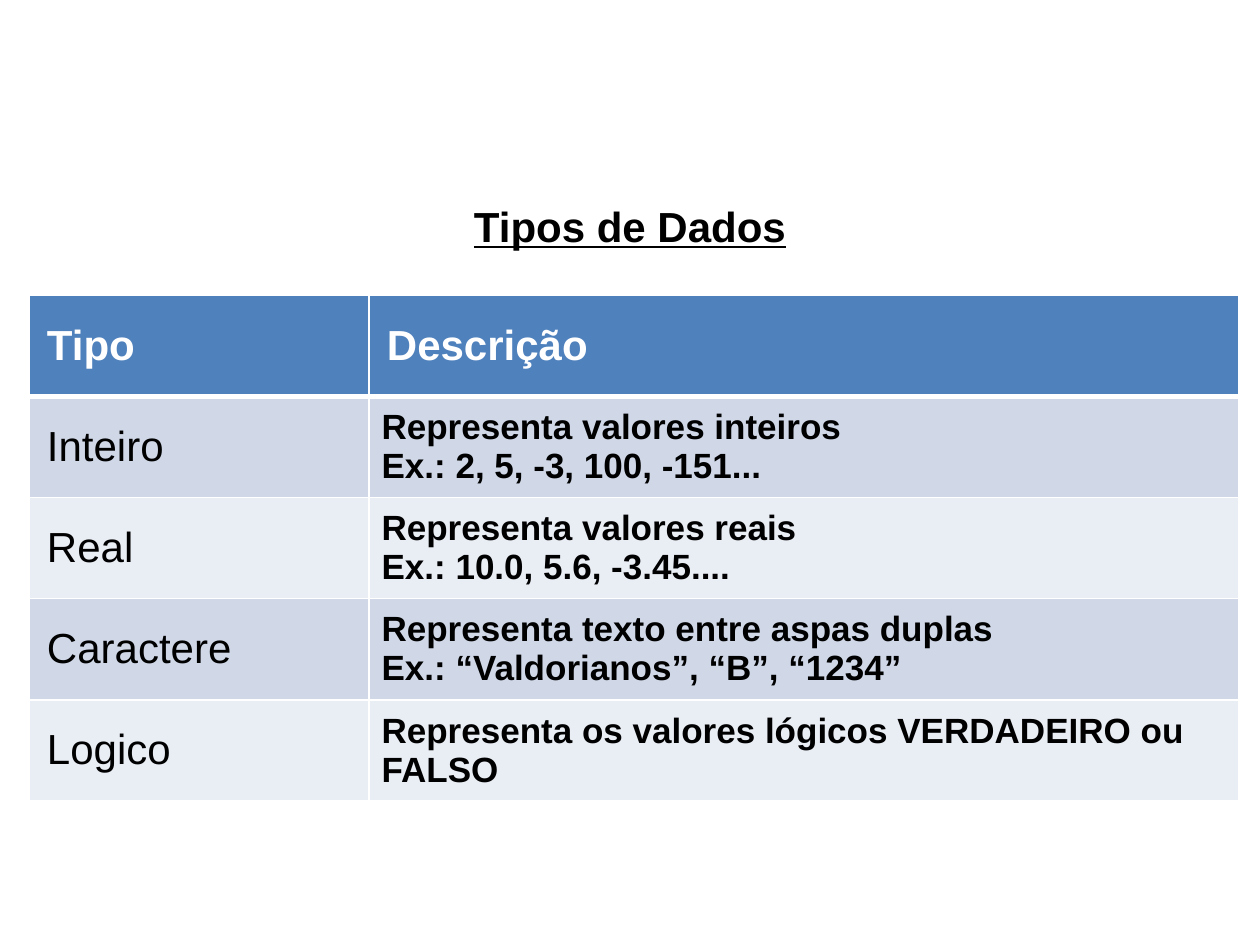
from lxml import etree
from pptx import Presentation
from pptx import util as u
from pptx.dml.color import RGBColor
from pptx.enum import text
from pptx.oxml.ns import qn

SCALE = 914400 // 126
WHITE, BLACK, HEADER = "FFFFFF", "000000", "4F81BD"
BANDS = ("D0D8E8", "E9EDF4")
ROWS = [
    ("Tipo", "Descrição"),
    ("Inteiro", "Representa valores inteiros\nEx.: 2, 5, -3, 100, -151..."),
    ("Real", "Representa valores reais\nEx.: 10.0, 5.6, -3.45...."),
    ("Caractere", "Representa texto entre aspas duplas\nEx.: “Valdorianos”, “B”, “1234”"),
    ("Logico", "Representa os valores lógicos VERDADEIRO ou FALSO"),
]


def px(length):
    """Turn picture pixels into EMU."""
    return u.Emu(round(length * SCALE))


def color(value):
    """Turn a hex string into a colour."""
    return RGBColor.from_string(value)


def write(frame, content, size=24, fill=BLACK, bold=False, underline=False, align=None):
    """Write each line of the content as a formatted paragraph."""
    frame.text = content
    frame.word_wrap = True
    for paragraph in frame.paragraphs:
        paragraph.alignment = align
        for run in paragraph.runs:
            font = run.font
            font.name, font.size = "Arial", u.Pt(size)
            font.bold, font.underline = bold, underline
            font.color.rgb = color(fill)


def set_borders(cell, bottom):
    """Draw white borders with the given bottom width in points."""
    properties = cell._tc.get_or_add_tcPr()
    sides = {"a:lnL": 1, "a:lnR": 1, "a:lnT": 1, "a:lnB": bottom}
    for index, (side, width) in enumerate(sides.items()):
        line = etree.Element(qn(side), w=str(u.Pt(width)))
        fill = etree.SubElement(line, qn("a:solidFill"))
        etree.SubElement(fill, qn("a:srgbClr"), val=WHITE)
        properties.insert(index, line)


def add_title(slide, left, top, width, height):
    """Place and format the slide title."""
    title = slide.shapes.title
    title.left, title.top, title.width, title.height = map(px, (left, top, width, height))
    frame = title.text_frame
    write(frame, "Tipos de Dados", bold=True, underline=True, align=text.PP_ALIGN.CENTER)
    frame.auto_size = text.MSO_AUTO_SIZE.SHAPE_TO_FIT_TEXT
    frame.vertical_anchor = text.MSO_ANCHOR.TOP


def add_types_table(slide, left, top, width, height, first_width):
    """Place the table of data types in the given box."""
    box = map(px, (left, top, width, height))
    table = slide.shapes.add_table(len(ROWS), 2, *box).table
    table.columns[0].width = px(first_width)
    table.columns[1].width = px(width - first_width)
    for row, contents in enumerate(ROWS):
        header = row == 0
        for column, content in enumerate(contents):
            cell = table.cell(row, column)
            description = column == 1 and not header
            write(cell.text_frame, content, size=20 if description else 24,
                  fill=WHITE if header else BLACK, bold=header or description)
            cell.vertical_anchor = text.MSO_ANCHOR.MIDDLE
            if not description:
                cell.margin_left = cell.margin_right = px(18)
                cell.margin_top = cell.margin_bottom = px(9)
            cell.fill.solid()
            cell.fill.fore_color.rgb = color(HEADER if header else BANDS[(row - 1) % 2])
            set_borders(cell, 3 if header else 1)


def main():
    """Build and save the presentation."""
    presentation = Presentation()
    presentation.slide_width, presentation.slide_height = px(1260), px(945)
    slide = presentation.slides.add_slide(presentation.slide_layouts[5])
    slide.background.fill.solid()
    slide.background.fill.fore_color.rgb = color(WHITE)
    add_types_table(slide, 29, 295, 1210, 506, first_width=340)
    add_title(slide, 58, 194, 1144, 63)
    presentation.save("out.pptx")


main()
